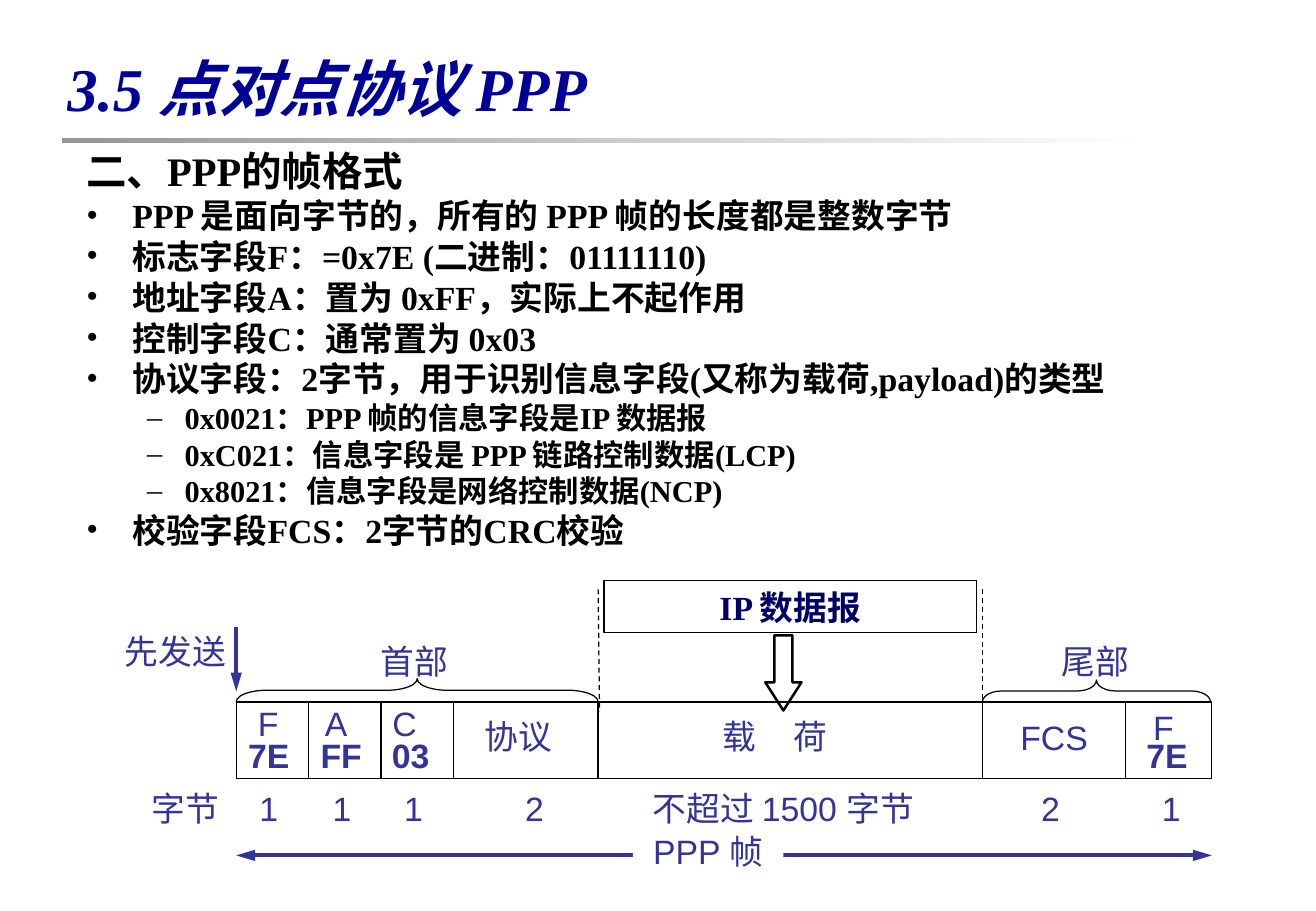
from lxml.etree import SubElement
from pptx import Presentation
from pptx.dml.color import RGBColor as RGB
from pptx.enum.dml import MSO_LINE as Dash
from pptx.enum.shapes import MSO_CONNECTOR as Connector, MSO_SHAPE as Shape
from pptx.enum.text import MSO_ANCHOR as Anchor, PP_ALIGN as Align
from pptx.oxml.ns import qn
from pptx.util import Inches, Pt

INK, INDIGO = RGB.from_string("000000"), RGB.from_string("333399")
SERIF, SANS = "Times New Roman", "Arial"
THEME = {
    "title": dict(name=SERIF, size=Pt(36), bold=True, italic=True, color=RGB.from_string("000099")),
    "heading": dict(name=SERIF, size=Pt(24), bold=True, color=INK),
    "bullet": dict(name=SERIF, size=Pt(20), bold=True, color=INK),
    "dash": dict(name=SERIF, size=Pt(18), bold=True, color=INK),
    "datagram": dict(name=SERIF, size=Pt(20), bold=True, color=RGB.from_string("000066")),
    "label": dict(name=SANS, size=Pt(20), bold=False, color=INDIGO),
    "value": dict(name=SANS, size=Pt(20), bold=True, color=INDIGO),
    "rule": (RGB.from_string("969696"), RGB.from_string("FFFFFF")),
}

deck = Presentation()
deck.slide_width, deck.slide_height = Inches(10.84), Inches(7.5)
WIDTH, HEIGHT = deck.slide_width, deck.slide_height
slide = deck.slides.add_slide(deck.slide_layouts[5])
shapes = slide.shapes


def at(column, row):
    """Point on the frame grid: a column is one byte, a row 1% of the height."""
    return int(WIDTH * (0.1795 + 0.055 * column)), int(HEIGHT * row / 100)


def write(para, text, style):
    span = para.add_run()
    span.text = text
    for key, value in THEME[style].items():
        if key == "color":
            span.font.color.rgb = value
        else:
            setattr(span.font, key, value)
    return span


# Title and rule
title = shapes.title
title.left, title.top = int(WIDTH * 0.042), int(HEIGHT * 0.038)
title.width, title.height = int(WIDTH * 0.908), int(HEIGHT * 0.116)
title.text_frame.vertical_anchor = Anchor.MIDDLE
title.text_frame.paragraphs[0].alignment = Align.LEFT
write(title.text_frame.paragraphs[0], "3.5 点对点协议 PPP", "title")

rule = shapes.add_shape(Shape.RECTANGLE, int(WIDTH * 0.047), int(HEIGHT * 0.152),
                        int(WIDTH * 0.83), int(HEIGHT * 0.005))
rule.shadow.inherit = False
rule.line.fill.background()
rule.fill.gradient()
rule.fill.gradient_angle = 0
for stop, color in zip(rule.fill.gradient_stops, THEME["rule"]):
    stop.color.rgb = color

# Frame format notes
notes = [
    ("heading", "二、PPP的帧格式"),
    ("bullet", "PPP 是面向字节的，所有的 PPP 帧的长度都是整数字节"),
    ("bullet", "标志字段F：=0x7E (二进制：01111110)"),
    ("bullet", "地址字段A：置为 0xFF，实际上不起作用"),
    ("bullet", "控制字段C：通常置为 0x03"),
    ("bullet", "协议字段：2字节，用于识别信息字段(又称为载荷,payload)的类型"),
    ("dash", "0x0021：PPP 帧的信息字段是IP 数据报"),
    ("dash", "0xC021：信息字段是 PPP 链路控制数据(LCP)"),
    ("dash", "0x8021：信息字段是网络控制数据(NCP)"),
    ("bullet", "校验字段FCS：2字节的CRC校验"),
]
# style: level, left margin, hanging indent, space before, bullet mark
layouts = {"heading": (0, 0.38, 0.38, 0, None), "bullet": (0, 0.38, 0.38, 5, "•"),
           "dash": (1, 0.81, 0.31, 4.5, "–")}
body = shapes.add_textbox(int(WIDTH * 0.0565), int(HEIGHT * 0.164),
                          int(WIDTH * 0.925), int(HEIGHT * 0.493)).text_frame
body.word_wrap = True
for index, (style, text) in enumerate(notes):
    para = body.add_paragraph() if index else body.paragraphs[0]
    para.level, margin, hanging, before, mark = layouts[style]
    para.line_spacing, para.space_before = 0.8, Pt(before)
    properties = para._p.get_or_add_pPr()
    properties.set("marL", str(Inches(margin)))
    properties.set("indent", str(-Inches(hanging)))
    if mark:
        SubElement(properties, qn("a:buFont")).set("typeface", SERIF)
        SubElement(properties, qn("a:buChar")).set("char", mark)
    write(para, text, style)

# Lines: begin, end, colour, points, dash, arrowheads
frame_top, frame_bottom = 77.07, 85.45
payload_start, payload_end, frame_end = 5, 10.31, 13.48
lines = [
    ((payload_start, 64.7), (payload_start + 0.02, 78.1), INK, 0.75, Dash.DASH, ()),
    ((payload_end, 64.7), (payload_end, 77.6), INK, 0.75, Dash.DASH, ()),
    ((0, 93.9), (frame_end, 93.9), INDIGO, 2.25, None, ("a:headEnd", "a:tailEnd")),
    ((0, 68.8), (0, 75.9), INDIGO, 2.25, None, ("a:tailEnd",)),
]
for divider in (1, 2, 3, payload_start, payload_end, 12.29):
    lines.append(((divider, frame_top), (divider, frame_bottom), INK, 0.75, None, ()))
for begin, end, color, points, dash, heads in lines:
    line = shapes.add_connector(Connector.STRAIGHT, *at(*begin), *at(*end))
    line.line.color.rgb, line.line.width = color, Pt(points)
    if dash:
        line.line.dash_style = dash
    for head in heads:
        arrow = SubElement(line.line._get_or_add_ln(), qn(head))
        arrow.set("type", "triangle")
        arrow.set("len", "lg")
    SubElement(line._element.spPr, qn("a:effectLst"))

# Labels: row, style, then text and centre column
label_rows = [
    (85.87, "label", [("字节", -0.7), ("1", 0.45), ("1", 1.46), ("1", 2.45), ("2", 4.12),
                      ("不超过 1500 字节", 7.56), ("2", 11.25), ("1", 12.92)]),
    (76.53, "label", [("F", 0.44), ("A", 1.38), ("C", 2.32)]),
    (76.93, "label", [("F", 12.81)]),
    (80, "value", [("7E", 0.45), ("FF", 1.45), ("03", 2.41), ("7E", 12.86)]),
    (78, "label", [("FCS", 11.3)]),
    (77.9, "label", [("协议", 3.9), ("载 荷", 7.44)]),
    (69.73, "label", [("首部", 2.46), ("尾部", 11.87)]),
    (68.53, "label", [("先发送", -0.84)]),
    (90.53, "label", [("PPP 帧", 6.52)]),
]
extra_widths = {"载 荷": 0.5}
for row, style, labels in label_rows:
    for text, centre in labels:
        letters = sum(0.19 if letter.isascii() else 0.28 for letter in text)
        width = Inches(0.2 + letters + extra_widths.get(text, 0))
        x, y = at(centre, row)
        box = shapes.add_textbox(x - width // 2, y, width, int(HEIGHT * 0.0587))
        box.text_frame.word_wrap = False
        box.text_frame.paragraphs[0].alignment = Align.CENTER
        span = write(box.text_frame.paragraphs[0], text, style)
        if text == "载 荷":
            span._r.get_or_add_rPr().set("spc", "870")
        if text == "PPP 帧":
            box.fill.solid()
            box.fill.fore_color.rgb = RGB.from_string("FFFFFF")

# Outlined shapes: preset, top left, bottom right, line points, adjustments
outlines = [
    (Shape.LEFT_BRACE, (0, 74.5), (payload_start, 77.05), 0.75, (1.3, 0.5)),
    (Shape.LEFT_BRACE, (payload_end, 74.65), (13.46, 77.05), 0.75, (0.87, 0.5)),
    (Shape.DOWN_ARROW, (7.31, 69.75), (7.81, 78), 1.5, (0.5, 0.78)),
    (Shape.RECTANGLE, (5.08, 63.7), (10.23, 69.45), 0.75, ()),
    (Shape.RECTANGLE, (0, frame_top), (frame_end, frame_bottom), 0.75, ()),
]
for preset, begin, end, points, adjustments in outlines:
    (left, top), (right, bottom) = at(*begin), at(*end)
    width, height = right - left, bottom - top
    outline = shapes.add_shape(preset, left, top, width, height)
    if preset == Shape.LEFT_BRACE:
        outline.rotation = 90
        outline.left, outline.top = left + (width - height) // 2, top + (height - width) // 2
        outline.width, outline.height = height, width
    outline.shadow.inherit = False
    outline.fill.background()
    outline.line.color.rgb, outline.line.width = INK, Pt(points)
    for index, value in enumerate(adjustments):
        outline.adjustments[index] = value
    if begin == (5.08, 63.7):
        outline.text_frame.vertical_anchor = Anchor.MIDDLE
        outline.text_frame.paragraphs[0].alignment = Align.CENTER
        write(outline.text_frame.paragraphs[0], "IP 数据报", "datagram")

deck.save("out.pptx")
